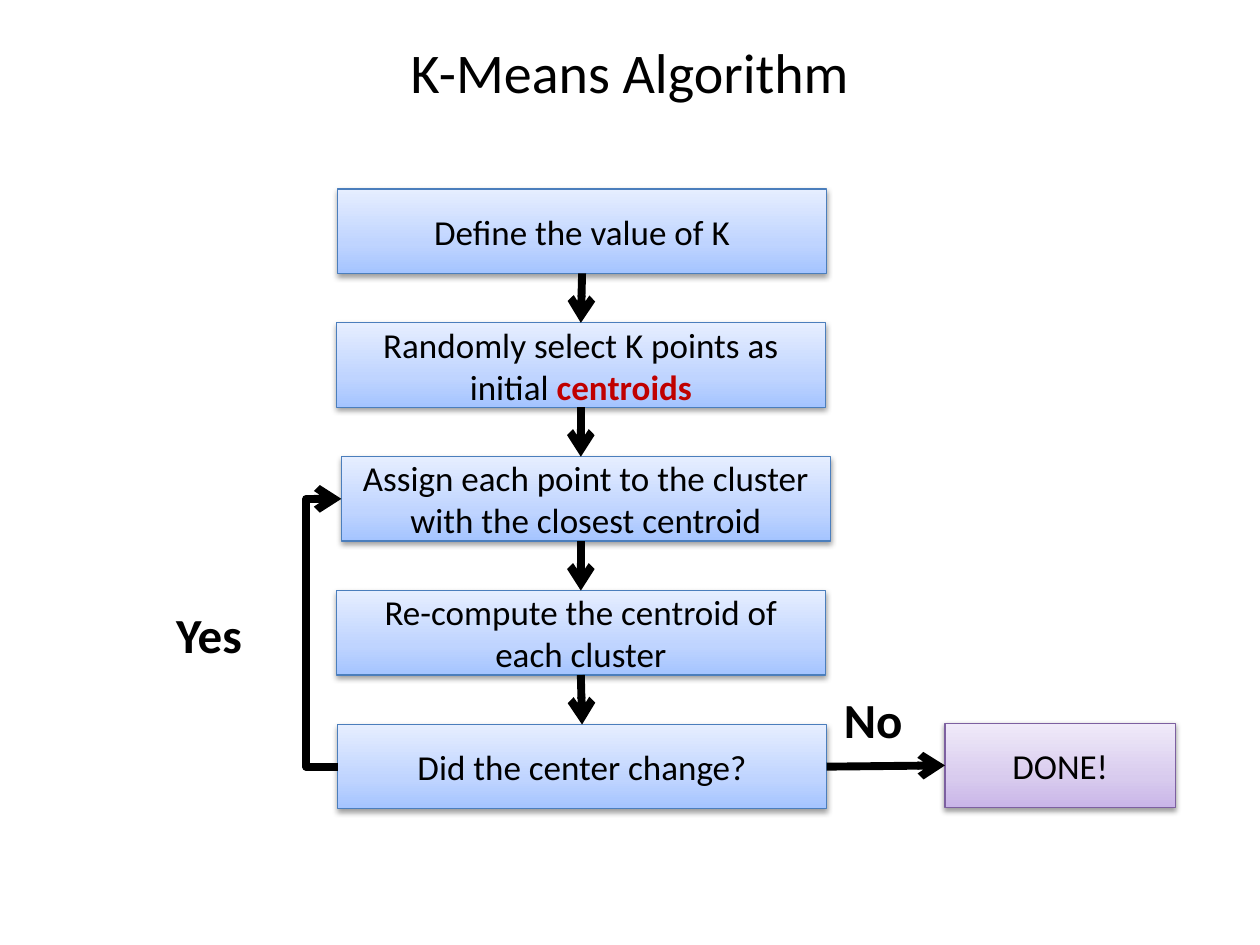
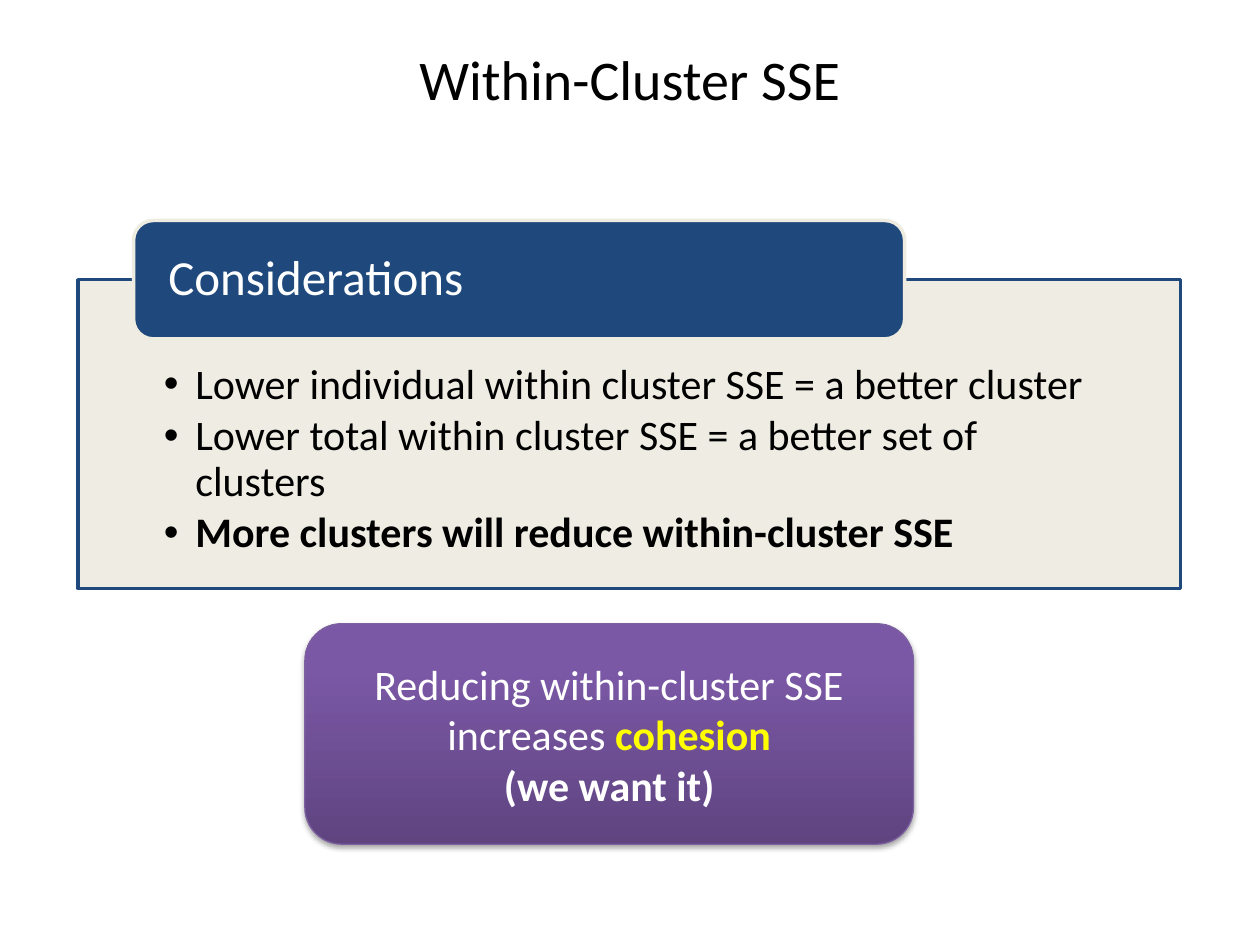
from dataclasses import dataclass
from itertools import pairwise

from lxml.etree import SubElement
from pptx import Presentation
from pptx.dml.color import RGBColor
from pptx.enum.shapes import MSO_CONNECTOR, MSO_SHAPE
from pptx.enum.text import MSO_ANCHOR, MSO_AUTO_SIZE, PP_ALIGN
from pptx.oxml import parse_xml
from pptx.oxml.ns import nsdecls, qn
from pptx.util import Inches, Pt


@dataclass(frozen=True)
class Theme:
    font: str = "Calibri"
    title_size: int = 32
    label_size: int = 28
    body_size: int = 24
    step_size: int = 20
    black: str = "000000"
    white: str = "FFFFFF"
    red: str = "C00000"
    yellow: str = "FFFF00"
    navy: str = "1F497D"
    cream: str = "EEECE1"
    blue_line: str = "4B7EBC"
    purple_line: str = "7D60A0"
    # Gradients run from bottom to top: (percent, colour)
    blue: tuple = ((0, "A4C4FF"), (35, "BFD4FF"), (100, "E6EEFF"))
    lilac: tuple = ((0, "C9B5E8"), (35, "D8CBEE"), (100, "F0EAF9"))
    purple: tuple = ((0, "5F4480"), (80, "7B58A6"), (100, "7C57A8"))


theme = Theme()


def write(frame, paragraphs, size, color, align=PP_ALIGN.CENTER):
    """Fill a text frame; each paragraph is a list of (text, bold, colour or None)."""
    for index, pieces in enumerate(paragraphs):
        paragraph = frame.add_paragraph() if index else frame.paragraphs[0]
        paragraph.alignment = align
        for text, bold, accent in pieces:
            run = paragraph.add_run()
            run.text = text
            run.font.name = theme.font
            run.font.size = Pt(size)
            run.font.bold = bold
            run.font.color.rgb = RGBColor.from_string(accent or color)


def add_panel(slide, kind, box, stops, line, shadow_alpha):
    """Add a shape with a vertical gradient and a soft shadow below it."""
    panel = slide.shapes.add_shape(kind, *map(Inches, box))
    panel.fill.gradient()
    panel.fill.gradient_angle = 90
    stop_list = panel.fill._xPr.find(qn("a:gradFill")).find(qn("a:gsLst"))
    for stop in list(stop_list):
        stop_list.remove(stop)
    for percent, color in stops:
        stop = SubElement(stop_list, qn("a:gs"), pos=str(percent * 1000))
        SubElement(stop, qn("a:srgbClr"), val=color)
    panel.line.color.rgb = RGBColor.from_string(line)
    panel.line.width = Pt(0.75)
    panel.shadow.inherit = False
    panel._element.spPr.find(qn("a:effectLst")).append(parse_xml(
        f'<a:outerShdw {nsdecls("a")} blurRad="{Pt(3.1)}" dist="{Pt(1.6)}" dir="5400000" '
        f'rotWithShape="0"><a:srgbClr val="000000"><a:alpha val="{shadow_alpha * 1000}"/>'
        '</a:srgbClr></a:outerShdw>'))
    panel.text_frame.vertical_anchor = MSO_ANCHOR.MIDDLE
    return panel


prs = Presentation()
prs.slide_width, prs.slide_height = Inches(10), Inches(7.5)

# Slides and titles
algorithm = prs.slides.add_slide(prs.slide_layouts[5])
sse = prs.slides.add_slide(prs.slide_layouts[1])
for slide, heading, top in ((algorithm, "K-Means Algorithm", 0.25),
                            (sse, "Within-Cluster SSE", 0.3)):
    title = slide.shapes.title
    title.left, title.top, title.width, title.height = map(Inches, (0.5, top, 9, 1.25))
    title.text_frame.vertical_anchor = MSO_ANCHOR.TOP
    write(title.text_frame, [[(heading, False, None)]], theme.title_size, theme.black)

# Algorithm: column of steps
STEP_W, STEP_H, FIRST_TOP, PITCH = 3.88, 0.67, 1.5, 1.0625
step_texts = [
    (2.68, [("Define the value of K", False, None)]),
    (2.67, [("Randomly select K points as initial ", False, None),
            ("centroids", True, theme.red)]),
    (2.71, [("Assign each point to the cluster with the closest centroid", False, None)]),
    (2.67, [("Re-compute the centroid of each cluster", False, None)]),
    (2.68, [("Did the center change?", False, None)]),
]
steps = []
for row, (left, pieces) in enumerate(step_texts):
    step = add_panel(algorithm, MSO_SHAPE.RECTANGLE,
                     (left, FIRST_TOP + row * PITCH, STEP_W, STEP_H),
                     theme.blue, theme.blue_line, 38)
    write(step.text_frame, [pieces], theme.step_size, theme.black)
    steps.append(step)

done = add_panel(algorithm, MSO_SHAPE.RECTANGLE, (7.5, 5.74, 1.83, STEP_H),
                 theme.lilac, theme.purple_line, 38)
write(done.text_frame, [[("DONE!", False, None)]], theme.step_size, theme.black)

# Algorithm: arrows down the column, joined where they meet a step's middle
arrows = []
axis = Inches(4.61)
for upper, lower in pairwise(steps):
    arrow = algorithm.shapes.add_connector(
        MSO_CONNECTOR.STRAIGHT, axis, upper.top + upper.height, axis, lower.top)
    if abs(upper.left + upper.width // 2 - axis) < Inches(0.02):
        arrow.begin_connect(upper, 2)
    if abs(lower.left + lower.width // 2 - axis) < Inches(0.02):
        arrow.end_connect(lower, 0)
    arrows.append(arrow)

# Algorithm: exit to DONE! and loop back to the assignment step
assign, decision = steps[2], steps[4]
leave = algorithm.shapes.add_connector(MSO_CONNECTOR.STRAIGHT, 0, 0, 0, 0)
leave.begin_connect(decision, 3)
leave.end_connect(done, 1)
repeat = algorithm.shapes.add_connector(MSO_CONNECTOR.ELBOW, 0, 0, 0, 0)
repeat.begin_connect(decision, 1)
repeat.end_connect(assign, 1)
bend = round(-Inches(0.25) / repeat.width * 100000)
guides = repeat._element.spPr.find(qn("a:prstGeom")).get_or_add_avLst()
SubElement(guides, qn("a:gd"), name="adj1", fmla=f"val {bend}")
arrows += [leave, repeat]

for arrow in arrows:
    arrow.line.color.rgb = RGBColor.from_string(theme.black)
    arrow.line.width = Pt(4.5)
    SubElement(arrow.line._get_or_add_ln(), qn("a:tailEnd"), type="arrow")
    SubElement(arrow._element.spPr, qn("a:effectLst"))

# Algorithm: branch labels
for answer, box in (("Yes", (1.3, 4.75, 0.73, 0.57)), ("No", (6.6, 5.42, 0.67, 0.57))):
    label = algorithm.shapes.add_textbox(*map(Inches, box))
    label.text_frame.word_wrap = False
    write(label.text_frame, [[(answer, True, None)]], theme.label_size, theme.black,
          PP_ALIGN.LEFT)

# SSE: framed list
considerations = sse.placeholders[1]
(considerations.left, considerations.top,
 considerations.width, considerations.height) = map(Inches, (0.62, 2.22, 8.75, 2.45))
considerations.fill.solid()
considerations.fill.fore_color.rgb = RGBColor.from_string(theme.cream)
cream_fill = considerations._element.spPr.find(qn("a:solidFill"))
SubElement(cream_fill[0], qn("a:alpha"), val="90000")
considerations.line.color.rgb = RGBColor.from_string(theme.navy)
considerations.line.width = Pt(2)
frame = considerations.text_frame
frame.auto_size = MSO_AUTO_SIZE.NONE
frame.margin_left = frame.margin_right = Inches(0.68)
frame.margin_top, frame.margin_bottom = Inches(0.66), Inches(0.19)
write(frame, [
    [("Lower individual within cluster SSE = a better cluster", False, None)],
    [("Lower total within cluster SSE = a better set of clusters", False, None)],
    [("More clusters will reduce within-cluster SSE", True, None)],
], theme.body_size, theme.black, PP_ALIGN.LEFT)
for paragraph in frame.paragraphs:
    paragraph.line_spacing = 0.9
    paragraph.space_before, paragraph.space_after = Pt(0), Pt(3.6)
    properties = paragraph._p.get_or_add_pPr()
    properties.set("marL", str(Inches(0.25)))
    properties.set("indent", str(Inches(-0.25)))
    SubElement(properties, qn("a:buChar"), char="•")

# SSE: heading tab on the frame
tab = sse.shapes.add_shape(MSO_SHAPE.ROUNDED_RECTANGLE,
                           *map(Inches, (1.06, 1.75, 6.12, 0.94)))
tab.shadow.inherit = False
tab.fill.solid()
tab.fill.fore_color.rgb = RGBColor.from_string(theme.navy)
tab.line.color.rgb = RGBColor.from_string(theme.cream)
tab.line.width = Pt(2)
tab.text_frame.vertical_anchor = MSO_ANCHOR.MIDDLE
tab.text_frame.margin_left = Inches(0.23)
write(tab.text_frame, [[("Considerations", False, None)]], theme.label_size, theme.white,
      PP_ALIGN.LEFT)
tab.text_frame.paragraphs[0].line_spacing = 0.9

# SSE: conclusion
conclusion = add_panel(sse, MSO_SHAPE.ROUNDED_RECTANGLE, (2.42, 4.95, 4.83, 1.75),
                       theme.purple, theme.purple_line, 35)
write(conclusion.text_frame, [
    [("Reducing within-cluster SSE increases ", False, None), ("cohesion", True, theme.yellow)],
    [("(we want it)", True, None)],
], theme.body_size, theme.white)

prs.save("out.pptx")
